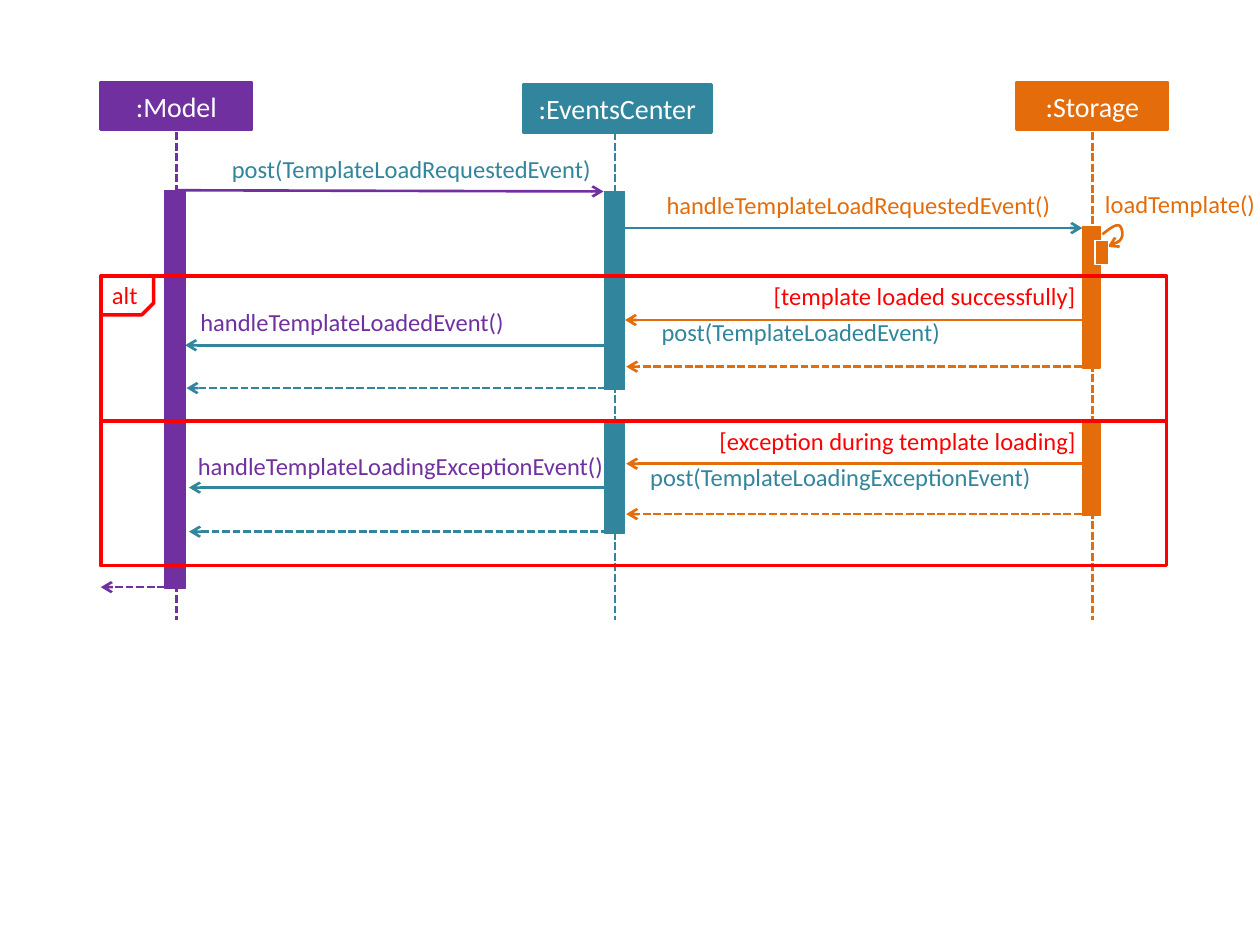
from dataclasses import dataclass
from lxml.etree import SubElement
from pptx import Presentation
from pptx.dml.color import RGBColor
from pptx.enum.dml import MSO_LINE
from pptx.enum.shapes import MSO_CONNECTOR, MSO_SHAPE
from pptx.enum.text import MSO_ANCHOR, MSO_AUTO_SIZE, PP_ALIGN
from pptx.oxml.ns import qn
from pptx.util import Inches, Pt


@dataclass(frozen=True)
class Theme:
    model: str = "7030A0"
    events: str = "31859C"
    storage: str = "E46C0A"
    frame: str = "FF0000"
    white: str = "FFFFFF"
    font: str = "Calibri"
    head: int = 16
    label: int = 14
    thin: float = 0.75
    line: float = 1.5
    thick: float = 2


class Sequence:
    COLS, ROWS = 100, 75

    def __init__(self, prs, theme):
        self.theme = theme
        self.s = prs.slides.add_slide(prs.slide_layouts[6])
        self.col = prs.slide_width / self.COLS
        self.row = prs.slide_height / self.ROWS

    def at(self, x, y):
        return round(x * self.col), round(y * self.row)

    def stroke(self, ln, color, width, dashed=False, arrow=False):
        ln.color.rgb = RGBColor.from_string(color)
        ln.width = Pt(width)
        if dashed:
            ln.dash_style = MSO_LINE.SQUARE_DOT
        if arrow:
            SubElement(ln._get_or_add_ln(), qn("a:tailEnd"), type="arrow")

    def run(self, tf, text, size, color):
        r = tf.paragraphs[0].add_run()
        r.text = text
        r.font.name = self.theme.font
        r.font.size = Pt(size)
        r.font.color.rgb = RGBColor.from_string(color)

    def box(self, x, y, w, h, line, width, fill=None, kind=MSO_SHAPE.RECTANGLE):
        sp = self.s.shapes.add_shape(kind, *self.at(x, y), *self.at(w, h))
        sp.shadow.inherit = False
        if fill:
            sp.fill.solid()
            sp.fill.fore_color.rgb = RGBColor.from_string(fill)
        else:
            sp.fill.background()
        self.stroke(sp.line, line, width)
        return sp

    def line(self, x1, y1, x2, y2, color, width, dashed=False, arrow=False):
        c = self.s.shapes.add_connector(
            MSO_CONNECTOR.STRAIGHT, *self.at(x1, y1), *self.at(x2, y2))
        self.stroke(c.line, color, width, dashed, arrow)
        SubElement(c._element.spPr, qn("a:effectLst"))

    def lifeline(self, name, x, y, w, axis, color):
        sp = self.box(x, y, w, 3.8, color, self.theme.line, color)
        tf = sp.text_frame
        tf.vertical_anchor = MSO_ANCHOR.MIDDLE
        tf.paragraphs[0].alignment = PP_ALIGN.CENTER
        self.run(tf, name, self.theme.head, self.theme.white)
        self.line(axis, 10.5, axis, 49.2, color, self.theme.line, dashed=True)

    def label(self, text, x, y, w, color, h=2.4, inset=0):
        tb = self.s.shapes.add_textbox(*self.at(x, y), *self.at(w, h))
        tf = tb.text_frame
        tf.word_wrap = True
        tf.auto_size = MSO_AUTO_SIZE.SHAPE_TO_FIT_TEXT
        tf.margin_left = tf.margin_right = Inches(inset)
        tf.margin_top = tf.margin_bottom = Inches(inset / 2)
        self.run(tf, text, self.theme.label, color)

    def curve(self, start, segments, color, steps=12):
        points, p0 = [], start
        for p1, p2, p3 in segments:
            for i in range(1, steps + 1):
                t = i / steps
                u = 1 - t
                points.append(self.at(*(
                    u**3 * a + 3 * u * u * t * b + 3 * u * t * t * c + t**3 * d
                    for a, b, c, d in zip(p0, p1, p2, p3))))
            p0 = p3
        fb = self.s.shapes.build_freeform(*self.at(*start))
        fb.add_line_segments(points, close=False)
        sp = fb.convert_to_shape()
        sp.shadow.inherit = False
        sp.fill.background()
        self.stroke(sp.line, color, self.theme.line, arrow=True)


prs = Presentation()
prs.slide_width, prs.slide_height = Inches(10), Inches(7.5)
th = Theme()
d = Sequence(prs, th)

for lifeline in [
    (":Storage", 80.7, 6.5, 12, 86.7, th.storage),
    (":EventsCenter", 41.5, 6.7, 15, 48.8, th.events),
    (":Model", 8, 6.5, 12, 14, th.model),
]:
    d.lifeline(*lifeline)

for x1, y1, x2, y2, color, dashed in [
    (13.9, 15.1, 47.9, 15.2, th.model, False),
    (49.6, 18.1, 85.9, 18.1, th.events, False),
    (86.6, 25.4, 49.6, 25.4, th.storage, False),
    (48.2, 27.4, 14.7, 27.4, th.events, False),
    (86.7, 29.1, 49.7, 29.1, th.storage, True),
    (48.1, 30.8, 14.8, 30.8, th.events, True),
    (86.7, 36.8, 49.7, 36.8, th.storage, False),
    (48.4, 38.7, 15, 38.7, th.events, False),
    (86.7, 40.8, 49.7, 40.8, th.storage, True),
    (48.3, 42.2, 15, 42.2, th.events, True),
    (13.1, 46.6, 8, 46.6, th.model, True),
]:
    d.line(x1, y1, x2, y2, color, th.line, dashed, arrow=True)

for x, y, w, h, color in [
    (85.9, 18, 1.4, 11.2, th.storage),
    (85.9, 33.6, 1.4, 7.3, th.storage),
    (48, 15.2, 1.6, 15.7, th.events),
    (48, 33.6, 1.6, 8.7, th.events),
    (13.1, 15.1, 1.6, 31.6, th.model),
]:
    d.box(x, y, w, h, color, th.thin, color)

d.curve((87.5, 18.6), [
    ((88, 18.2), (88.5, 17.8), (88.8, 17.9)),
    ((89, 17.9), (89.2, 18.6), (89, 18.9)),
    ((88.9, 19.2), (88.4, 19.4), (87.9, 19.6)),
], th.storage)
d.box(86.9, 19.1, 1.1, 1.9, th.white, th.thin, th.storage)

d.box(8, 21.9, 84.6, 23, th.frame, th.thick)
d.line(8, 33.4, 92.6, 33.4, th.frame, th.thick)
tab = d.box(8, 21.9, 4.2, 3.1, th.frame, th.thick, kind=MSO_SHAPE.SNIP_1_RECTANGLE)
tab.adjustments[0] = 0.31
tab._element.spPr.find(qn("a:xfrm")).set("flipV", "1")
d.label("alt", 7.9, 21.7, 4.5, th.frame, h=3.4, inset=0.1)

for label in [
    ("post(TemplateLoadRequestedEvent)", 18.4, 12.2, 29.7, th.events),
    ("handleTemplateLoadRequestedEvent()", 52.9, 15.1, 31.3, th.storage),
    ("loadTemplate()", 87.7, 15, 12, th.storage),
    ("[template loaded successfully]", 61.4, 22.3, 25.2, th.frame),
    ("handleTemplateLoadedEvent()", 15.9, 24.4, 29.1, th.model),
    ("post(TemplateLoadedEvent)", 52.5, 25.2, 25.2, th.events),
    ("[exception during template loading]", 57.1, 33.8, 28.5, th.frame),
    ("handleTemplateLoadingExceptionEvent()", 15.7, 35.8, 33.7, th.model),
    ("post(TemplateLoadingExceptionEvent)", 51.6, 36.7, 30.5, th.events),
]:
    d.label(*label)

prs.save("out.pptx")
